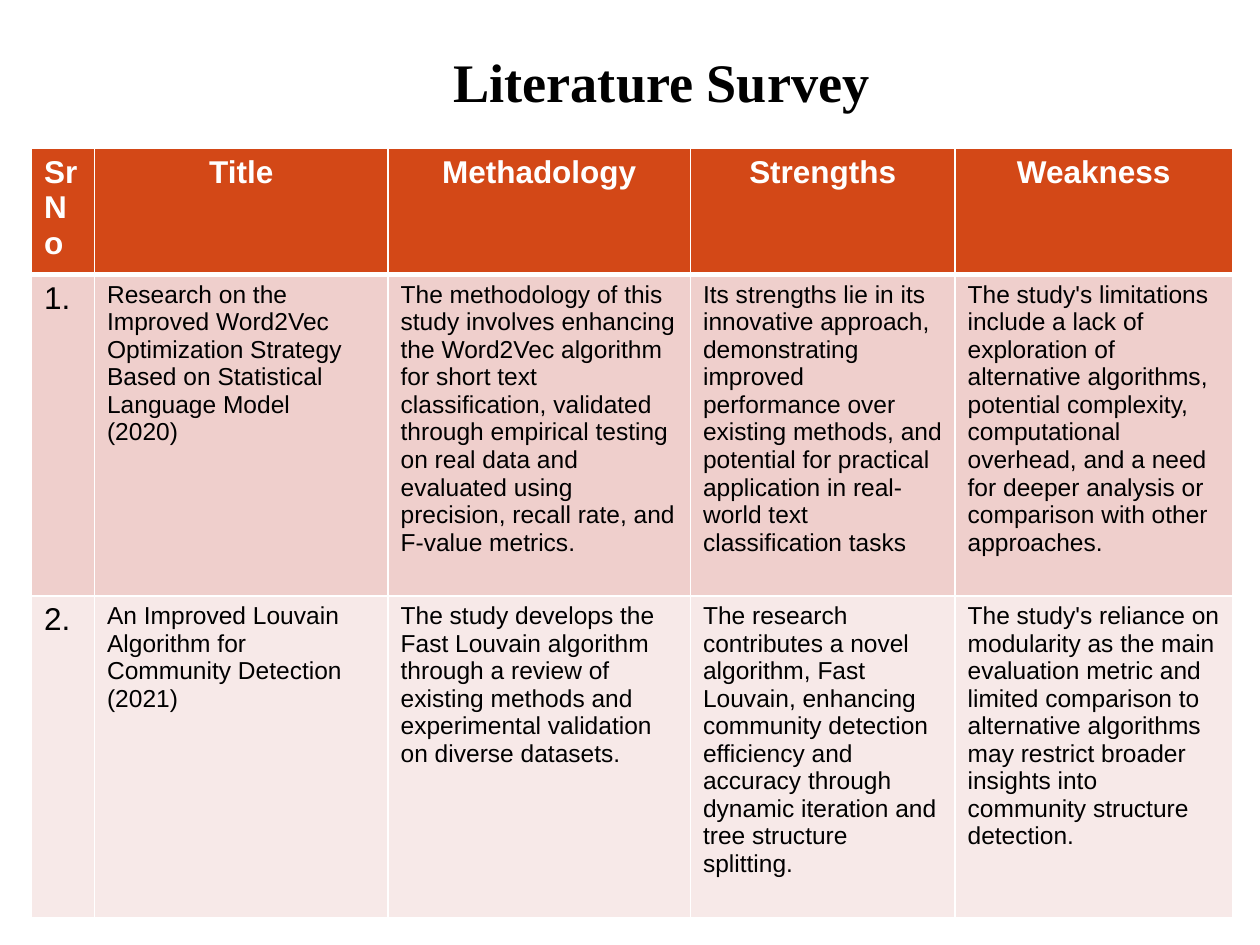
from typing import NamedTuple

from lxml import etree
from pptx import Presentation
from pptx.dml.color import RGBColor
from pptx.enum import text as t
from pptx.oxml import ns
from pptx.util import Inches, Pt

BLACK = RGBColor(0x00, 0x00, 0x00)
WHITE = RGBColor(0xFF, 0xFF, 0xFF)
ORANGE = RGBColor(0xD3, 0x48, 0x17)
ROSE = RGBColor(0xEF, 0xCF, 0xCC)
PALE_ROSE = RGBColor(0xF7, 0xE9, 0xE8)

COLUMN_WIDTHS = (0.5, 2.33, 2.4, 2.1, 2.2)
HEADER_HEIGHT, STUDY_HEIGHT = 0.81, 2.55
THIN, THICK = 1, 3
HEADINGS = ("Sr\nNo", "Title", "Methadology", "Strengths", "Weakness")


class Study(NamedTuple):
    number: str
    title: str
    methodology: str
    strengths: str
    weakness: str


STUDIES = (
    Study(
        "1.",
        "Research on the Improved Word2Vec Optimization Strategy Based on "
        "Statistical Language Model\n(2020)",
        "The methodology of this study involves enhancing the Word2Vec algorithm "
        "for short text classification, validated through empirical testing on real "
        "data and evaluated using precision, recall rate, and F-value metrics.",
        "Its strengths lie in its innovative approach, demonstrating improved "
        "performance over existing methods, and potential for practical application "
        "in real-world text classification tasks",
        "The study's limitations include a lack of exploration of alternative "
        "algorithms, potential complexity, computational overhead, and a need for "
        "deeper analysis or comparison with other approaches.",
    ),
    Study(
        "2.",
        "An Improved Louvain Algorithm for Community Detection\n(2021)",
        "The study develops the Fast Louvain algorithm through a review of existing "
        "methods and experimental validation on diverse datasets.",
        "The research contributes a novel algorithm, Fast Louvain, enhancing "
        "community detection efficiency and accuracy through dynamic iteration and "
        "tree structure splitting.",
        "The study's reliance on modularity as the main evaluation metric and limited "
        "comparison to alternative algorithms may restrict broader insights into "
        "community structure detection.",
    ),
)


def write_text(frame, content: str, *, size: float, font: str = "Arial",
               color: RGBColor = BLACK, bold: bool = False,
               centered: bool = False) -> None:
    """Fill a text frame, one paragraph per line of content."""
    frame.text = content
    for paragraph in frame.paragraphs:
        paragraph.alignment = t.PP_ALIGN.CENTER if centered else t.PP_ALIGN.LEFT
        for run in paragraph.runs:
            run.font.name = font
            run.font.size = Pt(size)
            run.font.bold = bold
            run.font.color.rgb = color


def set_borders(cell, top: float, bottom: float) -> None:
    """Draw white borders, with the given top and bottom widths in points."""
    properties = cell._tc.get_or_add_tcPr()
    widths = {"a:lnL": THIN, "a:lnR": THIN, "a:lnT": top, "a:lnB": bottom}
    for position, (tag, width) in enumerate(widths.items()):
        line = etree.Element(ns.qn(tag), w=str(Pt(width)))
        fill = etree.SubElement(line, ns.qn("a:solidFill"))
        etree.SubElement(fill, ns.qn("a:srgbClr"), val=str(WHITE))
        properties.insert(position, line)


def style_cell(cell, fill: RGBColor, top: float, bottom: float) -> None:
    cell.fill.solid()
    cell.fill.fore_color.rgb = fill
    set_borders(cell, top, bottom)


def add_title(slide) -> None:
    title = slide.shapes.add_textbox(Inches(3.25), Inches(0.28), Inches(4), Inches(0.72))
    frame = title.text_frame
    frame.word_wrap = True
    frame.auto_size = t.MSO_AUTO_SIZE.SHAPE_TO_FIT_TEXT
    frame.margin_left = frame.margin_right = Inches(0.1)
    frame.margin_top = frame.margin_bottom = Inches(0.1)
    write_text(frame, "Literature Survey", size=31, font="Times New Roman",
               bold=True, centered=True)


def add_survey_table(slide) -> None:
    heights = (HEADER_HEIGHT,) + (STUDY_HEIGHT,) * len(STUDIES)
    table = slide.shapes.add_table(
        len(heights), len(COLUMN_WIDTHS), Inches(0.25), Inches(1.18),
        Inches(sum(COLUMN_WIDTHS)), Inches(sum(heights))).table
    for column, width in zip(table.columns, COLUMN_WIDTHS):
        column.width = Inches(width)
    for row, height in zip(table.rows, heights):
        row.height = Inches(height)

    # Header row
    for index, heading in enumerate(HEADINGS):
        cell = table.cell(0, index)
        write_text(cell.text_frame, heading, size=18, color=WHITE, bold=True,
                   centered=index > 0)
        style_cell(cell, ORANGE, THIN, THICK)

    # One row per study, in alternating tints
    for row_index, study in enumerate(STUDIES, start=1):
        for index, content in enumerate(study):
            cell = table.cell(row_index, index)
            write_text(cell.text_frame, content, size=14 if index else 18)
            style_cell(cell, ROSE if row_index % 2 else PALE_ROSE,
                       THICK if row_index == 1 else THIN, THIN)


def main() -> None:
    presentation = Presentation()
    presentation.slide_width = Inches(10)
    presentation.slide_height = Inches(7.5)
    slide = presentation.slides.add_slide(presentation.slide_layouts[6])
    add_title(slide)
    add_survey_table(slide)
    presentation.save("out.pptx")


if __name__ == "__main__":
    main()
